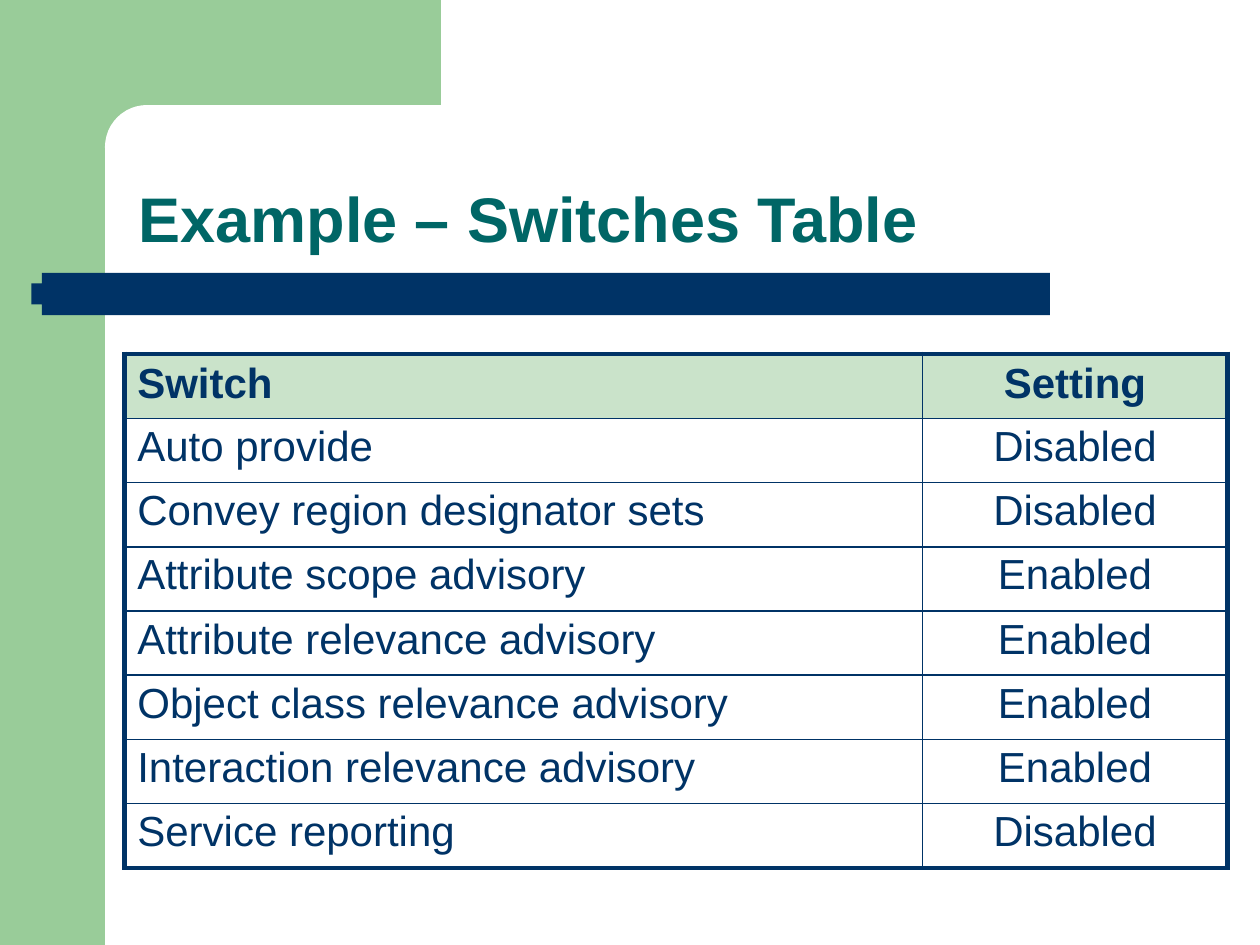
from math import cos, pi, sin

from lxml.etree import SubElement
from pptx import Presentation
from pptx.dml.color import RGBColor
from pptx.enum.shapes import MSO_SHAPE as Preset
from pptx.enum.text import MSO_ANCHOR as Anchor, PP_ALIGN as Align
from pptx.oxml.ns import qn
from pptx.util import Inches, Pt

COLORS = {"green": "99CC99", "pale": "CAE3CA", "navy": "003366",
          "teal": "006666", "white": "FFFFFF"}
UNIT = 1 / 12  # grid step in inches: 120 columns by 90 rows
SWITCHES = [
    ("Switch", "Setting"),
    ("Auto provide", "Disabled"),
    ("Convey region designator sets", "Disabled"),
    ("Attribute scope advisory", "Enabled"),
    ("Attribute relevance advisory", "Enabled"),
    ("Object class relevance advisory", "Enabled"),
    ("Interaction relevance advisory", "Enabled"),
    ("Service reporting", "Disabled"),
]


def grid(*steps):
    return [Inches(step * UNIT) for step in steps]


class SlideBuilder:
    font_name = "Arial"
    thin, thick = 1, 3

    def __init__(self, slide):
        self.slide = slide

    def color(self, name):
        return RGBColor.from_string(COLORS[name])

    def paint(self, shape, color):
        shape.shadow.inherit = False
        shape.fill.solid()
        shape.fill.fore_color.rgb = self.color(color)
        shape.line.fill.background()

    def outline(self, points, color):
        """Fill a closed polygon given in grid steps."""
        builder = self.slide.shapes.build_freeform(
            *points[0], scale=Inches(UNIT))
        builder.add_line_segments(points[1:], close=True)
        self.paint(builder.convert_to_shape(), color)

    def pill(self, left, top, width, height, color):
        shape = self.slide.shapes.add_shape(
            Preset.ROUNDED_RECTANGLE, *grid(left, top, width, height))
        shape.adjustments[0] = 0.5
        self.paint(shape, color)

    def bar(self, left, top, right, height, bulge, color):
        """Draw a bar whose left end is half an ellipse."""
        radius, steps = height / 2, 24
        angles = [pi * (0.5 + step / steps) for step in range(steps + 1)]
        arc = [(left + bulge + bulge * cos(angle),
                top + radius - radius * sin(angle)) for angle in angles]
        self.outline([(right, top), *arc, (right, top + height)], color)

    def set_text(self, frame, text, size, color, bold=False, align=Align.LEFT,
                 before=0):
        paragraph = frame.paragraphs[0]
        paragraph.text = text
        paragraph.alignment = align
        paragraph.space_before = Pt(before)
        font = paragraph.font
        font.name, font.size, font.bold = self.font_name, Pt(size), bold
        font.color.rgb = self.color(color)

    def title(self, text, left, top, width, height):
        box = self.slide.shapes.add_textbox(*grid(left, top, width, height))
        frame = box.text_frame
        frame.word_wrap = True
        frame.margin_left = frame.margin_right = frame.margin_bottom = 0
        frame.margin_top = Inches(0.01)
        self.set_text(frame, text, 36, "teal", bold=True, before=1)

    def borders(self, cell, widths):
        properties = cell._tc.get_or_add_tcPr()
        for side, width in zip("LRTB", widths):
            line = SubElement(properties, qn(f"a:ln{side}"), w=str(Pt(width)))
            fill = SubElement(line, qn("a:solidFill"))
            SubElement(fill, qn("a:srgbClr"), val=COLORS["navy"])

    def table(self, rows, left, top, column_widths, row_height):
        last_row, last_column = len(rows) - 1, len(column_widths) - 1
        table = self.slide.shapes.add_table(
            len(rows), len(column_widths),
            *grid(left, top, sum(column_widths), row_height * len(rows))).table
        for column, width in zip(table.columns, grid(*column_widths)):
            column.width = width
        for r, values in enumerate(rows):
            header = r == 0
            for c, value in enumerate(values):
                cell = table.cell(r, c)
                outer = (c == 0, c == last_column, header, r == last_row)
                self.borders(cell, [self.thick if edge else self.thin
                                    for edge in outer])
                cell.fill.solid()
                cell.fill.fore_color.rgb = self.color(
                    "pale" if header else "white")
                cell.margin_left = Inches(0.1 if c == 0 else 0)
                cell.margin_right = cell.margin_bottom = 0
                cell.margin_top = Inches(0.05 if header else 0.04)
                cell.vertical_anchor = Anchor.TOP
                self.set_text(cell.text_frame, value, 24, "navy", bold=header,
                              align=Align.LEFT if c == 0 else Align.CENTER,
                              before=3.9 if header else 3.1)


def main():
    presentation = Presentation()
    presentation.slide_width, presentation.slide_height = grid(120, 90)
    slide = presentation.slides.add_slide(presentation.slide_layouts[6])
    builder = SlideBuilder(slide)
    builder.outline([(0, 0), (42, 0), (42, 14), (10, 14), (10, 90), (0, 90)],
                    "green")
    builder.pill(10, 10, 67, 8, "white")
    builder.bar(3, 26, 100, 4.16, 2.64, "navy")
    builder.title("Example – Switches Table", 13.2, 17, 75, 7.5)
    builder.table(SWITCHES, 11.88, 33.72, (76, 29), 6.12)
    presentation.save("out.pptx")


if __name__ == "__main__":
    main()
